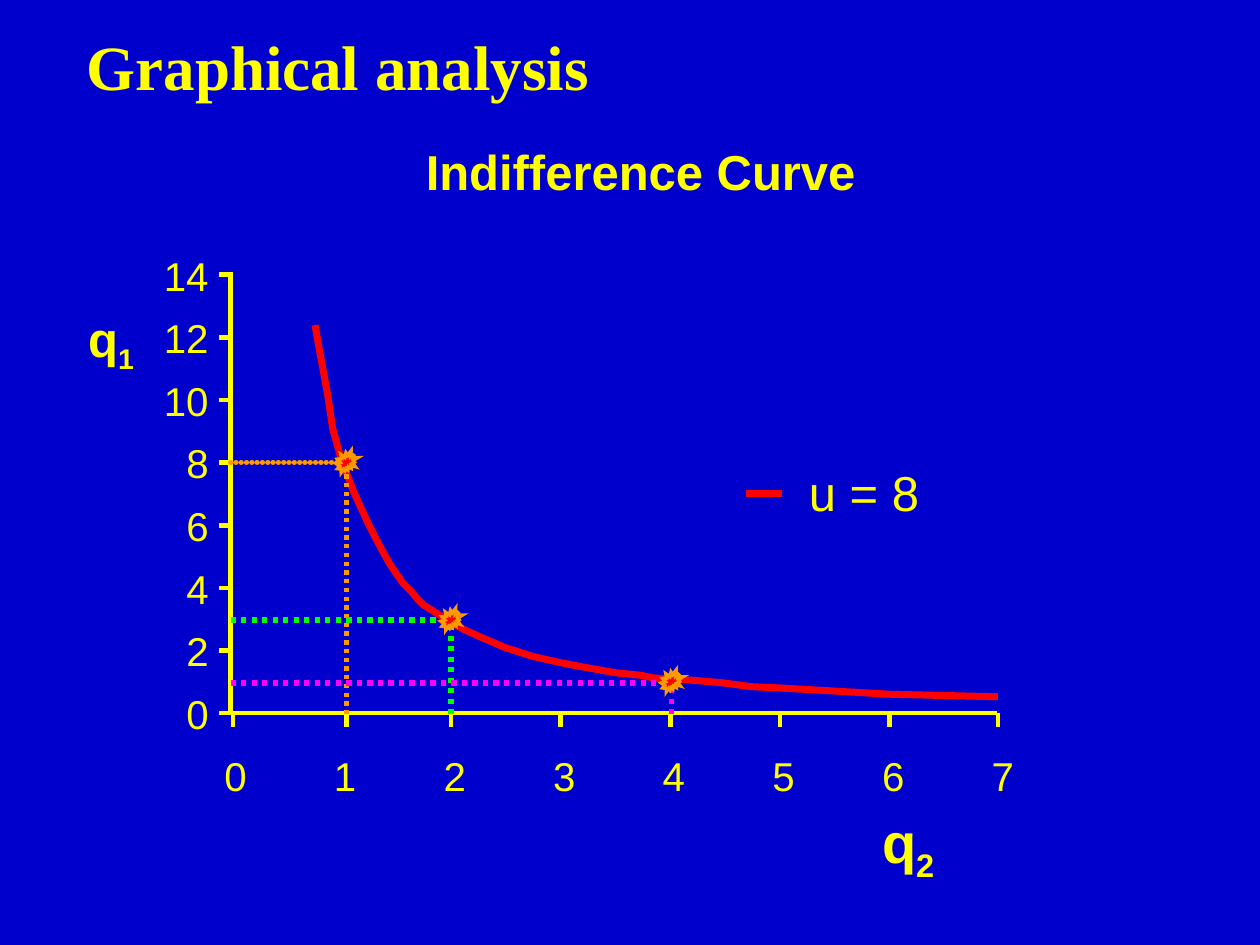
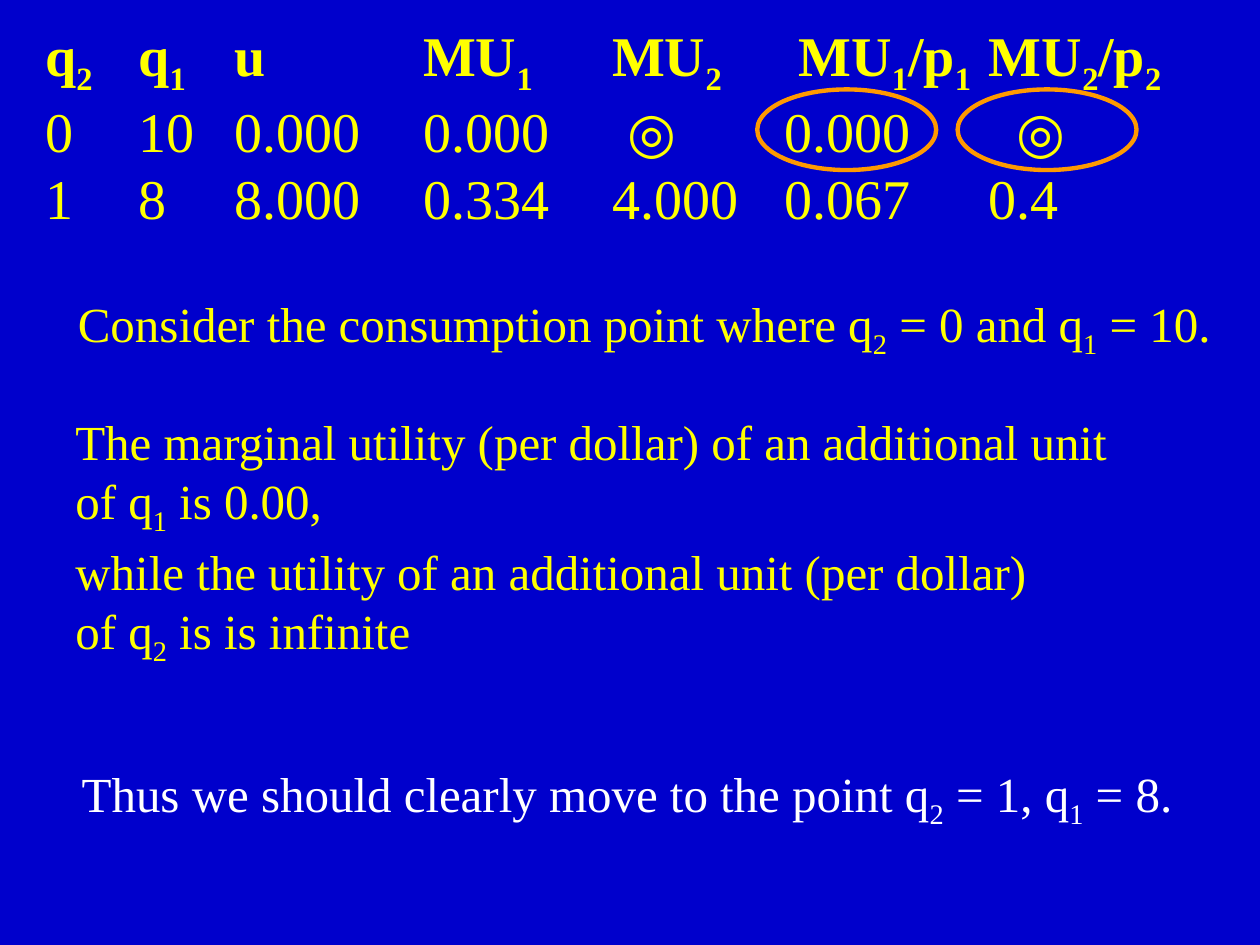
import lxml.etree
import pptx
import pptx.dml.color
import pptx.enum.shapes
import pptx.enum.text
import pptx.oxml.ns
import pptx.util

Inches = pptx.util.Inches
Pt = pptx.util.Pt
qn = pptx.oxml.ns.qn
SHAPES = pptx.enum.shapes.MSO_SHAPE
COLORS = {
    name: pptx.dml.color.RGBColor.from_string(value)
    for name, value in {
        "background": "0000CC", "yellow": "FFFF00", "white": "FFFFFF", "red": "FF0000",
        "orange": "FF9900", "magenta": "FF00FF", "green": "00FF00",
    }.items()
}
SERIF = "Times New Roman"
SANS = "Arial"


def add_text(slide, box, lines, size, font=SERIF, color="yellow", bold=False, inset=(0.1, 0.05), tabs=None):
    """Add a text box; "_" lowers the next character, and tabs holds the stops of each line."""
    shape = slide.shapes.add_textbox(*map(Inches, box))
    frame = shape.text_frame
    frame.word_wrap = True
    frame.auto_size = pptx.enum.text.MSO_AUTO_SIZE.SHAPE_TO_FIT_TEXT
    frame.margin_left = frame.margin_right = Inches(inset[0])
    frame.margin_top = frame.margin_bottom = Inches(inset[1])
    for index, line in enumerate(lines):
        paragraph = frame.paragraphs[0] if index == 0 else frame.add_paragraph()
        if tabs:
            tab_list = lxml.etree.SubElement(paragraph._p.get_or_add_pPr(), qn("a:tabLst"))
            for stop in tabs[index]:
                lxml.etree.SubElement(tab_list, qn("a:tab"), pos=str(Inches(stop)), algn="l")
        paragraph.font.name = font
        paragraph.font.size = Pt(size)
        paragraph.font.bold = bold and index == 0
        paragraph.font.color.rgb = COLORS[color]
        first, *rest = line.split("_")
        pieces = [(first, False)]
        for part in rest:
            pieces += [(part[0], True), (part[1:], False)]
        for text, lowered in pieces:
            if text:
                run = paragraph.add_run()
                run.text = text
                if lowered:
                    run._r.get_or_add_rPr().set("baseline", "-25000")


def add_line(slide, start, end, color="yellow", width=2.64, dash=None):
    """Draw a straight line; dash is "square", "round" or None."""
    line = slide.shapes.add_connector(
        pptx.enum.shapes.MSO_CONNECTOR.STRAIGHT, *map(Inches, (*start, *end)))
    line.line.color.rgb = COLORS[color]
    line.line.width = Pt(width)
    outline = line.line._get_or_add_ln()
    if dash == "square":
        lxml.etree.SubElement(outline, qn("a:prstDash"), val="sysDot")
    elif dash == "round":
        outline.set("cap", "rnd")
        custom = lxml.etree.SubElement(outline, qn("a:custDash"))
        lxml.etree.SubElement(custom, qn("a:ds"), d="1000", sp="100000")
    lxml.etree.SubElement(line._element.spPr, qn("a:effectLst"))


presentation = pptx.Presentation()
presentation.slide_width = Inches(10)
presentation.slide_height = Inches(7.5)
slides = []
for _ in range(2):
    slide = presentation.slides.add_slide(presentation.slide_layouts[6])
    slide.background.fill.solid()
    slide.background.fill.fore_color.rgb = COLORS["background"]
    slides.append(slide)
graph_slide, utility_slide = slides

# Slide 1: indifference curve
add_text(graph_slide, (0.59, 0.17, 4.3, 0.7), ["Graphical analysis"], 36, bold=True)
for box, text, size, bold in [
    ((3.38, 1.12, 3.5, 0.47), "Indifference Curve", 28, True),
    ((7, 6.41, 0.78, 0.61), "q_2", 32, True),
    ((0.7, 2.45, 0.45, 0.53), "q_1", 28, True),
    ((6.42, 3.67, 0.95, 0.47), "u = 8", 28, False),
]:
    add_text(graph_slide, box, [text], size, SANS, bold=bold, inset=(0, 0))

axis_x, axis_y = 1.83, 5.66
add_line(graph_slide, (axis_x, 2.19), (axis_x, axis_y))
add_line(graph_slide, (axis_x, axis_y), (7.91, axis_y))
for index in range(8):
    label = str(2 * index)
    rise = 0.497 * index
    width = 0.18 * len(label)
    add_line(graph_slide, (1.74, axis_y - rise), (1.85, axis_y - rise))
    add_text(graph_slide, (1.66 - width, 5.47 - rise, width, 0.38), [label], 23, SANS, inset=(0, 0))
for index, tick in enumerate([1.85, 2.75, 3.58, 4.45, 5.32, 6.19, 7.06, 7.92]):
    add_line(graph_slide, (tick, 5.77), (tick, axis_y))
    add_text(graph_slide, (1.78 + 0.87 * index, 5.96, 0.18, 0.38), [str(index)], 23, SANS, inset=(0, 0))

curve_points = [
    (2.5, 2.58), (2.55, 2.86), (2.6, 3.13), (2.64, 3.4), (2.71, 3.65), (2.81, 3.91),
    (2.92, 4.15), (2.98, 4.27), (3.04, 4.38), (3.09, 4.47), (3.15, 4.56), (3.2, 4.63),
    (3.26, 4.69), (3.31, 4.75), (3.36, 4.8), (3.47, 4.87), (3.58, 4.94), (3.69, 5),
    (3.8, 5.05), (4.01, 5.14), (4.23, 5.21), (4.45, 5.26), (4.66, 5.3), (4.89, 5.34),
    (5.09, 5.36), (5.18, 5.38), (5.33, 5.39), (5.51, 5.4), (5.74, 5.42), (5.96, 5.45),
    (6.19, 5.46), (7.06, 5.51), (7.49, 5.52), (7.92, 5.53),
]
curve_points = [(Inches(x), Inches(y)) for x, y in curve_points]
builder = graph_slide.shapes.build_freeform(*curve_points[0])
builder.add_line_segments(curve_points[1:], close=False)
curve = builder.convert_to_shape()
curve.shadow.inherit = False
curve.fill.background()
curve.line.color.rgb = COLORS["red"]
curve.line.width = Pt(4)
add_line(graph_slide, (5.92, 3.92), (6.21, 3.92), "red", 4)

bundles = [
    (2.75, 3.67, "orange", 2.5, "round"),
    (3.58, 4.92, "green", 3, "square"),
    (5.33, 5.42, "magenta", 3, "square"),
]
for x, y, color, drop_width, across_dash in bundles:
    add_line(graph_slide, (axis_x, y), (x, y), color, 3, across_dash)
    add_line(graph_slide, (x, 5.67), (x, y), color, drop_width, "square")

# Slide 2: marginal utility per dollar
add_text(
    utility_slide, (0.26, 0.11, 9.3, 1.78),
    ["q_2\tq_1\tu\tMU_1\tMU_2\tMU_1/p_1\tMU_2/p_2",
     "0\t10\t0.000\t0.000\t◎\t0.000\t◎",
     "1\t8\t8.000\t0.334\t4.000\t0.067\t0.4"],
    32, bold=True,
    tabs=[(0.74, 1.5, 3, 4.5, 5.98, 7.49),
          (0.74, 1.5, 3, 4.62, 5.87, 7.71),
          (0.74, 1.5, 3, 4.5, 5.87, 7.49)])
for box, lines, color in [
    ((0.52, 2.28, 9.3, 0.63), ["Consider the consumption point where q_2 = 0 and q_1 = 10."], "yellow"),
    ((0.5, 3.22, 8.5, 1.1),
     ["The marginal utility (per dollar) of an additional unit", "of q_1 is 0.00,"], "yellow"),
    ((0.5, 4.25, 7.85, 1.1),
     ["while the utility of an additional unit (per dollar)", "of q_2 is is infinite"], "yellow"),
    ((0.55, 6.01, 8.95, 0.63), ["Thus we should clearly move to the point q_2 = 1, q_1 = 8."], "white"),
]:
    add_text(utility_slide, box, lines, 28, color=color)

# Orange markers: bursts on the curve, rings around the compared values
markers = [(graph_slide, SHAPES.EXPLOSION2, (x - 0.08, y, 0.17, 0.17), 2)
           for x, y in [(2.75, 3.58), (3.58, 4.83), (5.33, 5.32)]]
markers += [(utility_slide, SHAPES.OVAL, (left, 0.71, 1.42, 0.64), 2.5) for left in (6.01, 7.6)]
for slide, kind, box, line_width in markers:
    marker = slide.shapes.add_shape(kind, *map(Inches, box))
    marker.shadow.inherit = False
    marker.line.color.rgb = COLORS["orange"]
    marker.line.width = Pt(line_width)
    lxml.etree.SubElement(marker.line._get_or_add_ln(), qn("a:miter"), lim="800000")
    if kind == SHAPES.OVAL:
        marker.fill.background()
    else:
        marker.fill.solid()
        marker.fill.fore_color.rgb = COLORS["red"]

presentation.save("out.pptx")
